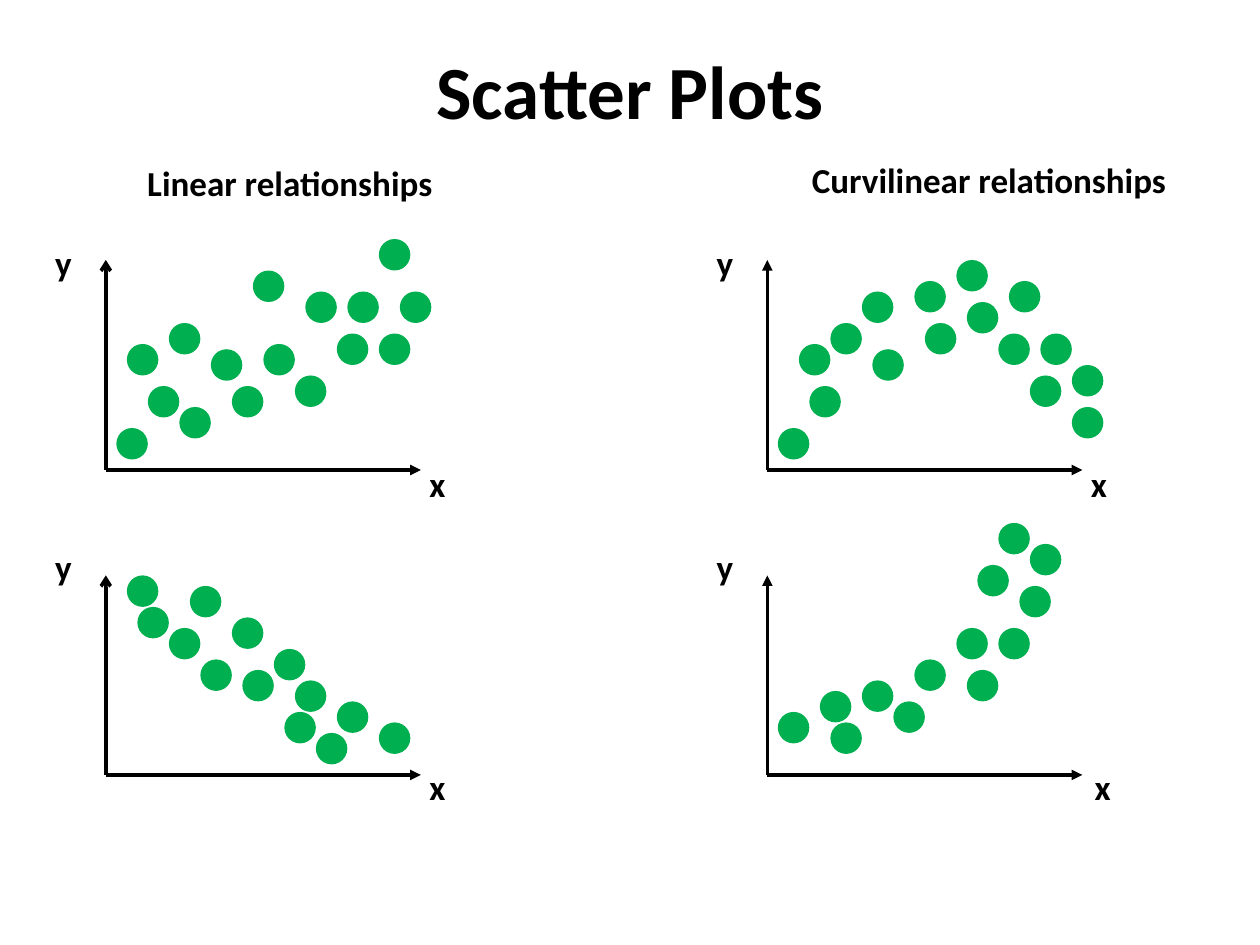
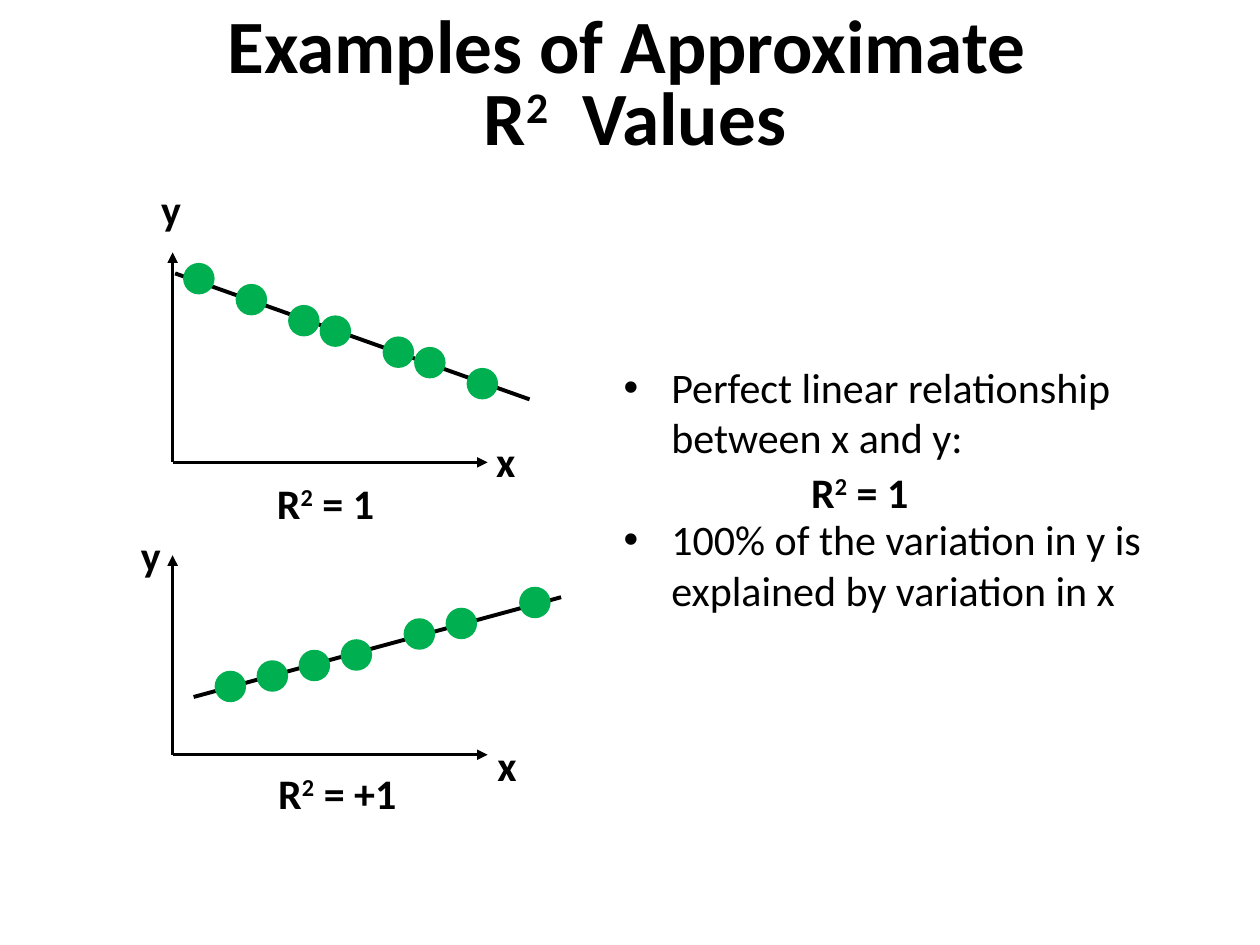
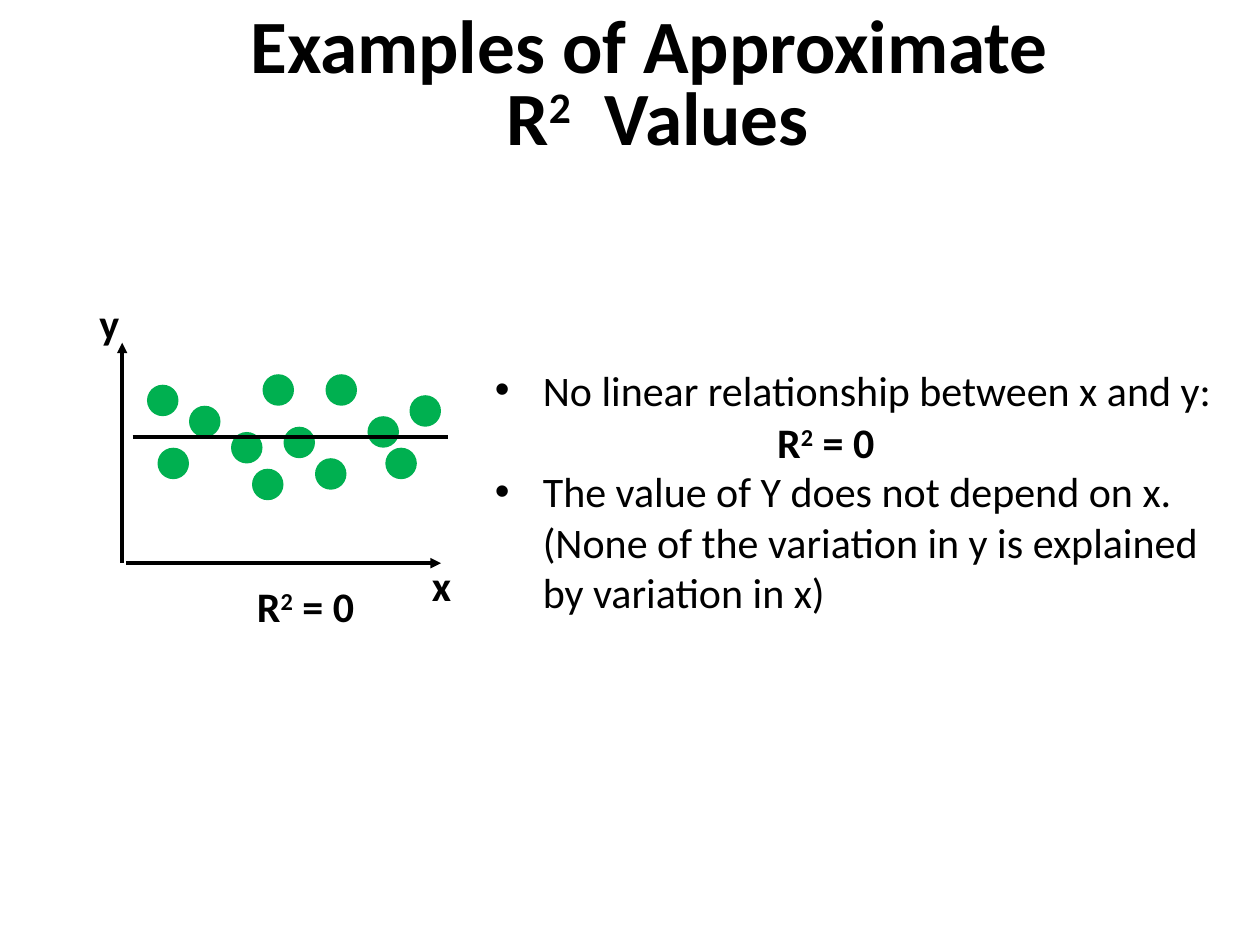
from lxml import etree
from pptx import Presentation
from pptx import util as u
from pptx.dml.color import RGBColor
from pptx.enum import shapes, text
from pptx.oxml.ns import qn

INK = {"text": "000000", "dot": "00B050", "back": "FFFFFF"}
FONT = "Calibri"
CELL = 1 / 12  # plot grid step in inches
DOT = 0.25
LEFT, MID, RIGHT = text.PP_ALIGN.LEFT, text.PP_ALIGN.CENTER, text.PP_ALIGN.RIGHT

# Dots as (columns right of, rows above) the origin, for the top left corner
RISE = [(1, 4), (4, 8), (26, 22), (28, 17), (7, 6), (23, 17), (18, 9), (19, 17),
        (14, 19), (2, 12), (6, 14), (10, 11.5), (22, 13), (15, 12), (12, 8), (26, 13)]
FALL = [(20, 4), (3, 16), (26, 5), (8, 18), (18, 9), (22, 7), (12, 15),
        (2, 19), (6, 14), (9, 11), (17, 6), (16, 12), (13, 10)]
ARCH = [(1, 4), (4, 8), (29, 10), (23, 18), (9, 17), (29, 6), (25, 9), (19, 16),
        (14, 18), (3, 12), (6, 14), (10, 11.5), (22, 13), (15, 14), (18, 20), (26, 13)]
CURVE = [(1, 6), (5, 8), (25, 22), (24, 18), (6, 5), (20, 20), (19, 10),
         (18, 14), (22, 24), (9, 9), (22, 14), (14, 11), (12, 7)]
DOWN = [(28, 9), (20, 12), (14, 14), (1, 19), (6, 17), (11, 15), (23, 11)]
UP = [(4, 8), (8, 9), (12, 10), (16, 11), (22, 13), (26, 14), (33, 16)]
FLAT = [(3, 11), (27, 16), (23, 14), (18, 10), (19, 18), (13, 18),
        (2, 17), (6, 15), (10, 12.5), (15, 13), (12, 9), (24.7, 11)]


def color(name):
    return RGBColor.from_string(INK[name])


def put(par, words, size, bold=True, lift=False):
    """Add one run; lift makes it a superscript."""
    run = par.add_run()
    run.text = words
    font = run.font
    font.size, font.bold, font.name = u.Pt(size), bold, FONT
    font.color.rgb = color("text")
    if lift:
        run._r.get_or_add_rPr().set("baseline", "30000")


def box(slide, at, wrap=True, align=LEFT):
    """Add a text box; return its frame and first paragraph."""
    frame = slide.shapes.add_textbox(*map(u.Inches, at)).text_frame
    frame.word_wrap = wrap
    par = frame.paragraphs[0]
    par.alignment = align
    return frame, par


def label(slide, words, x, y, size):
    _, par = box(slide, (x, y, 0.36, 0.43), wrap=False)
    put(par, words, size)


def square(par, tail, size):
    put(par, "R", size)
    put(par, "2", size, lift=True)
    put(par, tail, size)


def score(slide, tail, x, y, wide=1.13, align=LEFT):
    """Add an R² value."""
    _, par = box(slide, (x, y, wide, 0.5), wrap=False, align=align)
    square(par, tail, 24)


def line(slide, start, end, width=2.0, **tips):
    """Draw a line; tips maps headEnd or tailEnd to an arrow type."""
    rule = slide.shapes.add_connector(
        shapes.MSO_CONNECTOR.STRAIGHT, *map(u.Inches, start + end))
    rule.line.color.rgb = color("text")
    rule.line.width = u.Pt(width)
    for tag, kind in tips.items():
        etree.SubElement(rule.line._get_or_add_ln(), qn("a:" + tag), type=kind)
    etree.SubElement(rule._element.spPr, qn("a:effectLst"))


def dot(slide, x, y):
    disc = slide.shapes.add_shape(
        shapes.MSO_SHAPE.OVAL, *map(u.Inches, (x, y, DOT, DOT)))
    disc.shadow.inherit = False
    disc.fill.solid()
    disc.fill.fore_color.rgb = color("dot")
    disc.line.fill.background()


def plot(slide, x, y, rows, dots, ypos, xpos, size=24,
         tip="triangle", gap=0, fit=None, over=False):
    """Draw axes, their labels, dots and a fit line from the origin x, y."""
    def spot(col, row):
        return x + col * CELL, y - row * CELL

    def trend():
        if fit:
            line(slide, spot(*fit[0]), spot(*fit[1]), 2 if over else 2.25)

    line(slide, spot(0, rows), (x, y), headEnd=tip)
    line(slide, (x + gap, y), (x + gap + 30 * CELL, y), tailEnd="triangle")
    if not over:
        trend()
    for col, row in dots:
        dot(slide, *spot(col, row))
    if over:
        trend()
    label(slide, "y", *ypos, size)
    label(slide, "x", *xpos, size)


def topic(slide, x):
    """Add the two-line title."""
    frame, par = box(slide, (x, 0.16, 8.52, 1.08), align=MID)
    frame.vertical_anchor = text.MSO_ANCHOR.MIDDLE
    par.line_spacing = 0.8
    put(par, "Examples of Approximate ", 43)
    par.add_line_break()
    square(par, "  Values", 43)


def points(slide, at, items):
    """Add bullets, one line apart to leave room for the R² value."""
    frame, par = box(slide, at)
    for num, words in enumerate(items):
        if num:
            par = frame.add_paragraph()
            par.space_before = u.Pt(29.3)
        props = par._p.get_or_add_pPr()
        props.set("marL", str(u.Inches(0.38)))
        props.set("indent", str(-u.Inches(0.38)))
        etree.SubElement(props, qn("a:buFont"), typeface="Arial")
        etree.SubElement(props, qn("a:buChar"), char="•")
        put(par, words, 24, bold=False)


def fresh(deck):
    slide = deck.slides.add_slide(deck.slide_layouts[6])
    slide.background.fill.solid()
    slide.background.fill.fore_color.rgb = color("back")
    return slide


def kinds(deck):
    slide = fresh(deck)
    heads = [("Scatter Plots", (0.5, 0.3, 9, 1.25), 42.9),
             ("Linear relationships", (0.84, 1.23, 2.92, 0.45), 20),
             ("Curvilinear relationships", (6.1, 1.21, 3.5, 0.45), 20)]
    for words, at, size in heads:
        _, par = box(slide, at, align=MID)
        put(par, words, size)
    sides = [(0.84, "arrow", RISE, FALL, 3.31), (6.09, "triangle", ARCH, CURVE, 8.59)]
    for x, tip, high, low, end in sides:
        plot(slide, x, 3.73, 20, high, (x - 0.5, 1.87), (x + 2.47, 3.62), 20, tip)
        plot(slide, x, 6.15, 19, low, (x - 0.5, 4.28), (end, 6.03), 20, tip)


def perfect(deck):
    slide = fresh(deck)
    topic(slide, 0.78)
    plot(slide, 1.37, 3.67, 20, DOWN, (1.18, 1.41), (3.84, 3.41),
         fit=[(0.24, 18), (34, 6)])
    plot(slide, 1.37, 5.99, 19, UP, (1.02, 4.15), (3.85, 5.82),
         fit=[(2, 5.5), (37, 15)])
    score(slide, " = 1", 2.1, 3.74)
    score(slide, " = +1", 2.11, 6.04, 1.32)
    score(slide, " = 1", 6.34, 3.65)
    points(slide, (4.85, 2.82, 4.58, 2.12), [
        "Perfect linear relationship between x and y:",
        "100% of the variation in y is explained by variation in x"])


def absent(deck):
    slide = fresh(deck)
    topic(slide, 0.96)
    plot(slide, 0.97, 4.47, 21, [(col + 0.36, row) for col, row in FLAT],
         (0.69, 2.31), (3.33, 4.39), gap=0.03, fit=[(1, 12), (31, 12)], over=True)
    score(slide, " = 0", 1.78, 4.56, align=RIGHT)
    score(slide, " = 0", 6.07, 3.26)
    points(slide, (3.83, 2.84, 5.96, 2.12), [
        "No linear relationship between x and y:",
        "The value of Y does not depend on x. "
        "(None of the variation in y is explained by variation in x)"])


def main():
    deck = Presentation()
    deck.slide_width, deck.slide_height = u.Inches(10), u.Inches(7.5)
    kinds(deck)
    perfect(deck)
    absent(deck)
    deck.save("out.pptx")


if __name__ == "__main__":
    main()
